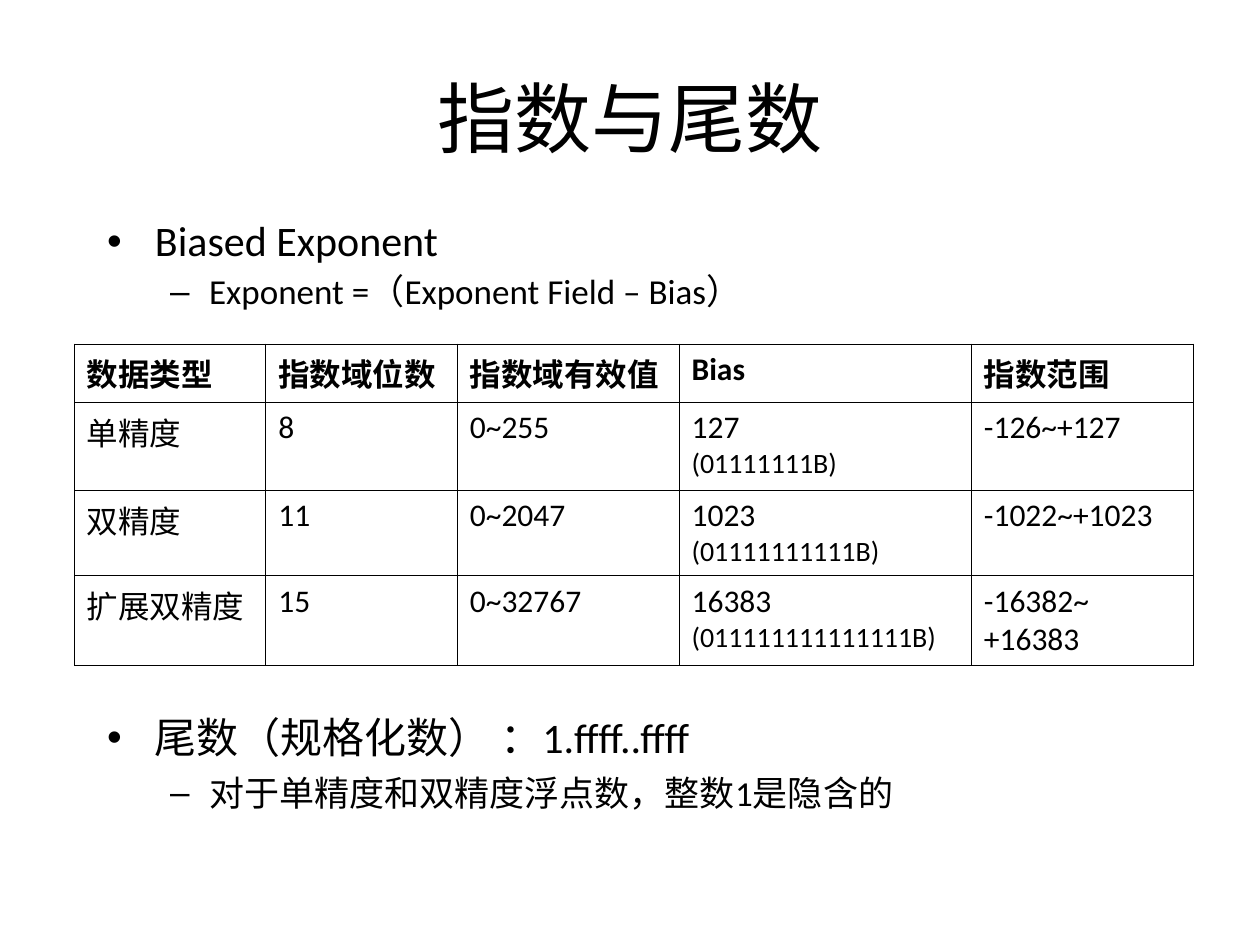
from dataclasses import dataclass

from lxml import etree
from pptx import Presentation
from pptx import util as u
from pptx.dml.color import RGBColor
from pptx.enum import text
from pptx.oxml import ns


@dataclass(frozen=True)
class Theme:
    font: str = "Calibri"
    ink: str = "000000"
    title: float = 44
    levels: tuple = (24, 20)
    cell: float = 18
    note: float = 16
    border: float = 0.45


THEME = Theme()
LEVELS = (
    {"bullet": "•", "left": 0.38, "hang": 0.38, "before": 6},
    {"bullet": "–", "left": 0.81, "hang": 0.31, "before": 5},
)
EXPONENT_LIST = ["Biased Exponent", "Exponent =（Exponent Field – Bias）"]
MANTISSA_LIST = ["尾数（规格化数） ：1.ffff..ffff", "对于单精度和双精度浮点数，整数1是隐含的"]
COLUMNS = [1.52, 1.52, 1.76, 2.32, 1.76]
ROWS = [0.4, 0.7, 0.67, 0.7]
FORMATS = [
    ["数据类型", "指数域位数", "指数域有效值", "Bias", "指数范围"],
    ["单精度", "8", "0~255", "127\n(01111111B)", "-126~+127"],
    ["双精度", "11", "0~2047", "1023\n(01111111111B)", "-1022~+1023"],
    ["扩展双精度", "15", "0~32767", "16383\n(011111111111111B)", "-16382~\n+16383"],
]


def add(parent, tag, **attrs):
    return etree.SubElement(parent, ns.qn(tag), attrs)


def style(font, size, bold=False):
    for name, value in {"name": THEME.font, "size": u.Pt(size), "bold": bold}.items():
        setattr(font, name, value)
    font.color.rgb = RGBColor.from_string(THEME.ink)


def place(sp, *box):
    for name, value in zip(("left", "top", "width", "height"), box):
        setattr(sp, name, u.Inches(value))
    tf = sp.text_frame
    tf.word_wrap = True
    tf.auto_size = text.MSO_AUTO_SIZE.NONE
    return tf


def add_title(sp, words):
    tf = place(sp, 0.5, 0.3, 9, 1.25)
    tf.vertical_anchor = text.MSO_ANCHOR.MIDDLE
    p = tf.paragraphs[0]
    p.alignment = text.PP_ALIGN.CENTER
    r = p.add_run()
    r.text = words
    style(r.font, THEME.title)


def add_bullet(p, level):
    look = LEVELS[level]
    pPr = p._p.get_or_add_pPr()
    pPr.set("marL", str(u.Inches(look["left"])))
    pPr.set("indent", str(-u.Inches(look["hang"])))
    add(add(pPr, "a:buClr"), "a:srgbClr", val=THEME.ink)
    add(pPr, "a:buFont", typeface="Arial")
    add(pPr, "a:buChar", char=look["bullet"])


def add_list(sp, top, items, spacings):
    tf = place(sp, 0.75, top, 8.44, 0.87)
    tf.vertical_anchor = text.MSO_ANCHOR.TOP
    for level, (words, spacing) in enumerate(zip(items, spacings)):
        p = tf.add_paragraph() if level else tf.paragraphs[0]
        add_bullet(p, level)
        p.level = level
        p.line_spacing = spacing
        p.space_before = u.Pt(LEVELS[level]["before"] if level else 0)
        r = p.add_run()
        r.text = words
        style(r.font, THEME.levels[level])


def add_borders(cell):
    tcPr = cell._tc.get_or_add_tcPr()
    for side in "LRTB":
        ln = add(tcPr, f"a:ln{side}", w=str(u.Pt(THEME.border)))
        add(add(ln, "a:solidFill"), "a:srgbClr", val=THEME.ink)


def fill_cell(cell, words, bold):
    add_borders(cell)
    cell.fill.background()
    cell.text_frame.text = words
    for p in cell.text_frame.paragraphs:
        for r in p.runs:
            style(r.font, THEME.note if r.text.startswith("(") else THEME.cell, bold)


def add_format_table(s):
    box = (0.59, 2.73, sum(COLUMNS), sum(ROWS))
    table = s.shapes.add_table(len(ROWS), len(COLUMNS), *map(u.Inches, box)).table
    table.first_row = table.horz_banding = False
    for column, width in zip(table.columns, COLUMNS):
        column.width = u.Inches(width)
    for i, height in enumerate(ROWS):
        table.rows[i].height = u.Inches(height)
        for j, words in enumerate(FORMATS[i]):
            fill_cell(table.cell(i, j), words, bold=i == 0)


def main():
    prs = Presentation()
    prs.slide_width, prs.slide_height = u.Inches(10), u.Inches(7.5)
    s = prs.slides.add_slide(prs.slide_layouts[3])
    title, exponent, mantissa = s.placeholders
    add_title(title, "指数与尾数")
    add_list(exponent, 1.7, EXPONENT_LIST, (0.9, 0.9))
    add_format_table(s)
    add_list(mantissa, 5.64, MANTISSA_LIST, (0.9, 1.0))
    prs.save("out.pptx")


if __name__ == "__main__":
    main()
